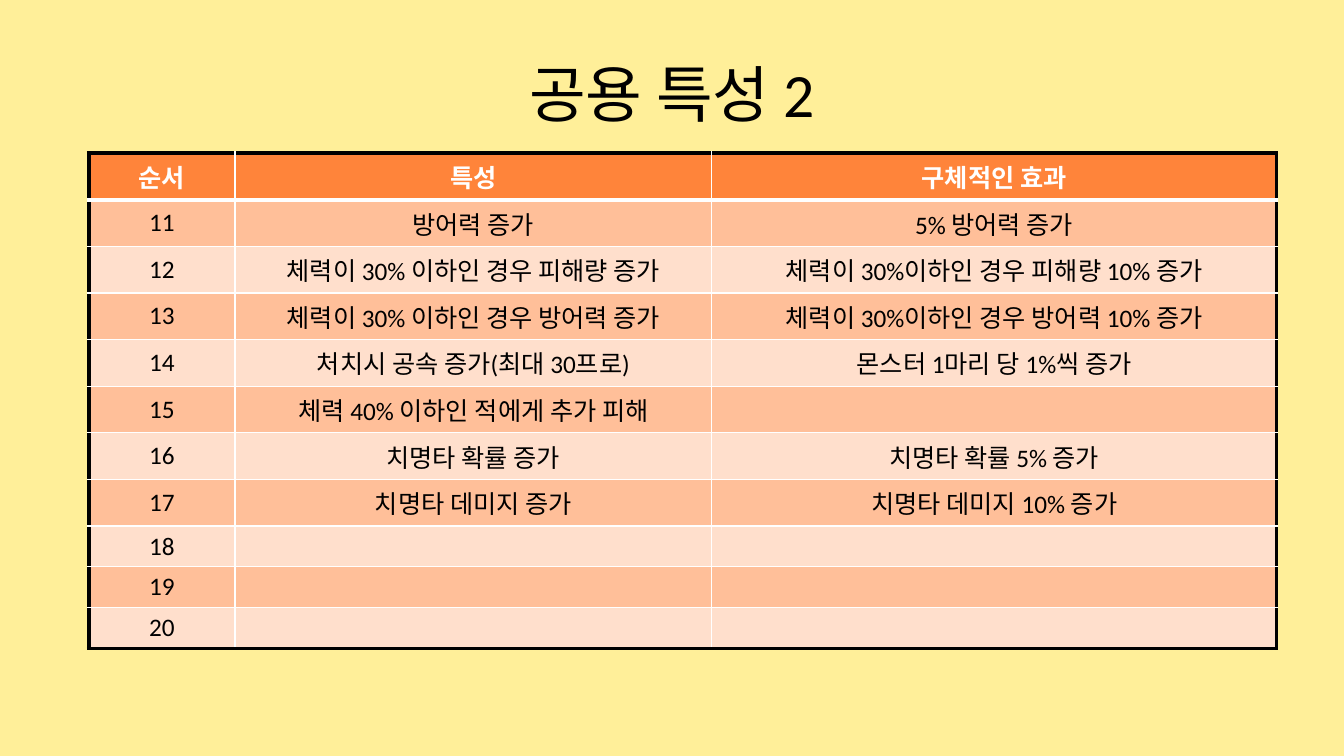
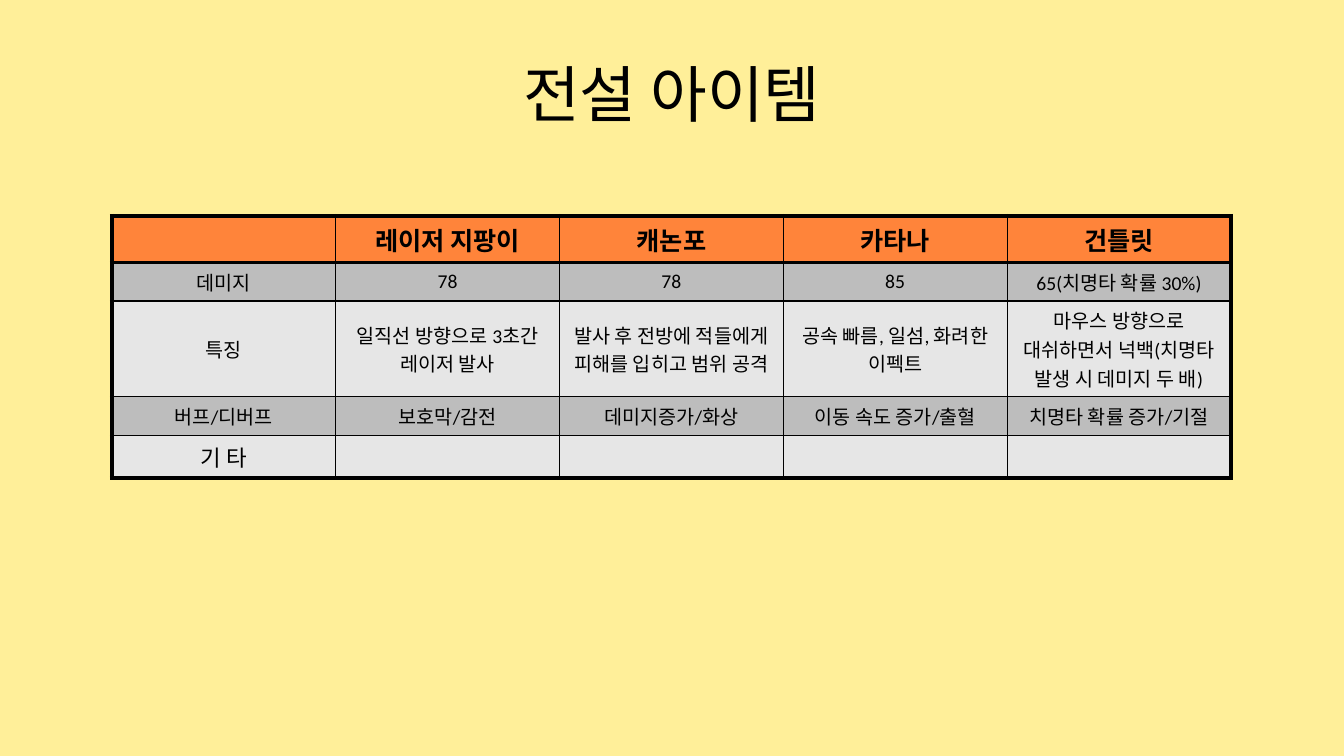
import pptx
import pptx.dml.color
import pptx.enum.text
import pptx.oxml.ns
import pptx.util
from lxml import etree

RGBColor = pptx.dml.color.RGBColor
BLACK = RGBColor(0x00, 0x00, 0x00)
WHITE = RGBColor(0xFF, 0xFF, 0xFF)
CREAM = RGBColor(0xFF, 0xEF, 0x99)
ORANGE = RGBColor(0xFF, 0x84, 0x3A)
PEACH_BANDS = (RGBColor(0xFF, 0xBF, 0x99), RGBColor(0xFF, 0xDF, 0xCC))
GRAY_BANDS = (RGBColor(0xBD, 0xBD, 0xBD), RGBColor(0xE6, 0xE6, 0xE6))

FONT = "Calibri"
SLIDE_WIDTH = pptx.util.Inches(13.33)
SLIDE_HEIGHT = pptx.util.Inches(7.5)
TITLE_ONLY = 5

TRAITS = [
    ("순서", "특성", "구체적인 효과"),
    ("11", "방어력 증가", "5% 방어력 증가"),
    ("12", "체력이 30% 이하인 경우 피해량 증가", "체력이 30%이하인 경우 피해량 10% 증가"),
    ("13", "체력이 30% 이하인 경우 방어력 증가", "체력이 30%이하인 경우 방어력 10% 증가"),
    ("14", "처치시 공속 증가(최대 30프로)", "몬스터 1마리 당 1%씩 증가"),
    ("15", "체력 40% 이하인 적에게 추가 피해", ""),
    ("16", "치명타 확률 증가", "치명타 확률 5% 증가"),
    ("17", "치명타 데미지 증가", "치명타 데미지 10% 증가"),
    ("18", "", ""),
    ("19", "", ""),
    ("20", "", ""),
]
ITEMS = [
    ("", "레이저 지팡이", "캐논포", "카타나", "건틀릿"),
    ("데미지", "78", "78", "85", "65(치명타 확률 30%)"),
    ("특징", "일직선 방향으로 3초간 레이저 발사",
     "발사 후 전방에 적들에게 피해를 입히고 범위 공격",
     "공속 빠름, 일섬, 화려한 이펙트",
     "마우스 방향으로 대쉬하면서 넉백(치명타 발생 시 데미지 두 배)"),
    ("버프/디버프", "보호막/감전", "데미지증가/화상", "이동 속도 증가/출혈", "치명타 확률 증가/기절"),
    ("기 타", "", "", "", ""),
]


def write_run(paragraph, text, size, color, bold=False):
    paragraph.alignment = pptx.enum.text.PP_ALIGN.CENTER
    run = paragraph.add_run()
    run.text = text
    run.font.name = FONT
    run.font.size = pptx.util.Pt(size)
    run.font.bold = bold
    run.font.color.rgb = color


def add_titled_slide(prs, title):
    slide = prs.slides.add_slide(prs.slide_layouts[TITLE_ONLY])
    heading = slide.shapes.title
    heading.left, heading.top = int(SLIDE_WIDTH * 0.05), int(SLIDE_HEIGHT * 0.04)
    heading.width, heading.height = int(SLIDE_WIDTH * 0.9), pptx.util.Inches(1.25)
    heading.text_frame.vertical_anchor = pptx.enum.text.MSO_ANCHOR.MIDDLE
    write_run(heading.text_frame.paragraphs[0], title, 44, BLACK)
    return slide


def set_border(cell, side, color, width):
    """Draw one cell edge; call for sides L, R, T, B in that order, before the fill."""
    qn = pptx.oxml.ns.qn
    edge = etree.SubElement(cell._tc.get_or_add_tcPr(), qn(f"a:ln{side}"),
                            w=str(int(pptx.util.Pt(width))))
    fill = etree.SubElement(edge, qn("a:solidFill"))
    etree.SubElement(fill, qn("a:srgbClr"), val=str(color))


def set_borders(cell, row, column, last_row, last_column, grid, frame, header_rule):
    """Use the black frame on outer edges, the header rule under row 0, else the grid line."""
    inner = (grid, 1)
    outer = (BLACK, frame)
    rule = (grid, header_rule)
    set_border(cell, "L", *(outer if column == 0 else inner))
    set_border(cell, "R", *(outer if column == last_column else inner))
    set_border(cell, "T", *(outer if row == 0 else rule if row == 1 else inner))
    set_border(cell, "B", *(outer if row == last_row else rule if row == 0 else inner))


def add_framed_table(slide, rows, left, top, widths, heights, sizes, bands,
                     header_color, grid, frame, header_rule):
    table = slide.shapes.add_table(
        len(rows), len(widths), pptx.util.Inches(left), pptx.util.Inches(top),
        pptx.util.Inches(sum(widths)), pptx.util.Inches(sum(heights))).table
    table.horz_banding = False
    for column, width in zip(table.columns, widths):
        column.width = pptx.util.Inches(width)
    for r, (texts, height, size) in enumerate(zip(rows, heights, sizes)):
        table.rows[r].height = pptx.util.Inches(height)
        header = r == 0
        for c, text in enumerate(texts):
            cell = table.cell(r, c)
            set_borders(cell, r, c, len(rows) - 1, len(widths) - 1,
                        grid, frame, header_rule)
            cell.fill.solid()
            cell.fill.fore_color.rgb = ORANGE if header else bands[(r - 1) % 2]
            if not header:
                cell.vertical_anchor = pptx.enum.text.MSO_ANCHOR.MIDDLE
            if text:
                write_run(cell.text_frame.paragraphs[0], text, size,
                          header_color if header else BLACK, bold=header)


def main():
    prs = pptx.Presentation()
    prs.slide_width, prs.slide_height = SLIDE_WIDTH, SLIDE_HEIGHT
    background = prs.slide_master.background.fill
    background.solid()
    background.fore_color.rgb = CREAM

    add_framed_table(
        add_titled_slide(prs, "공용 특성 2"), TRAITS, left=0.88, top=1.52,
        widths=[1.45, 4.73, 5.6], heights=[0.39] + [0.37] * 10,
        sizes=[18] * len(TRAITS), bands=PEACH_BANDS, header_color=WHITE,
        grid=WHITE, frame=3, header_rule=3)
    add_framed_table(
        add_titled_slide(prs, "전설 아이템"), ITEMS, left=1.11, top=2.14,
        widths=[2.22] * 5, heights=[0.41, 0.3, 0.77, 0.3, 0.34],
        sizes=[18, 14, 14, 14, 16], bands=GRAY_BANDS, header_color=BLACK,
        grid=BLACK, frame=3.15, header_rule=2.79)
    prs.save("out.pptx")


if __name__ == "__main__":
    main()
